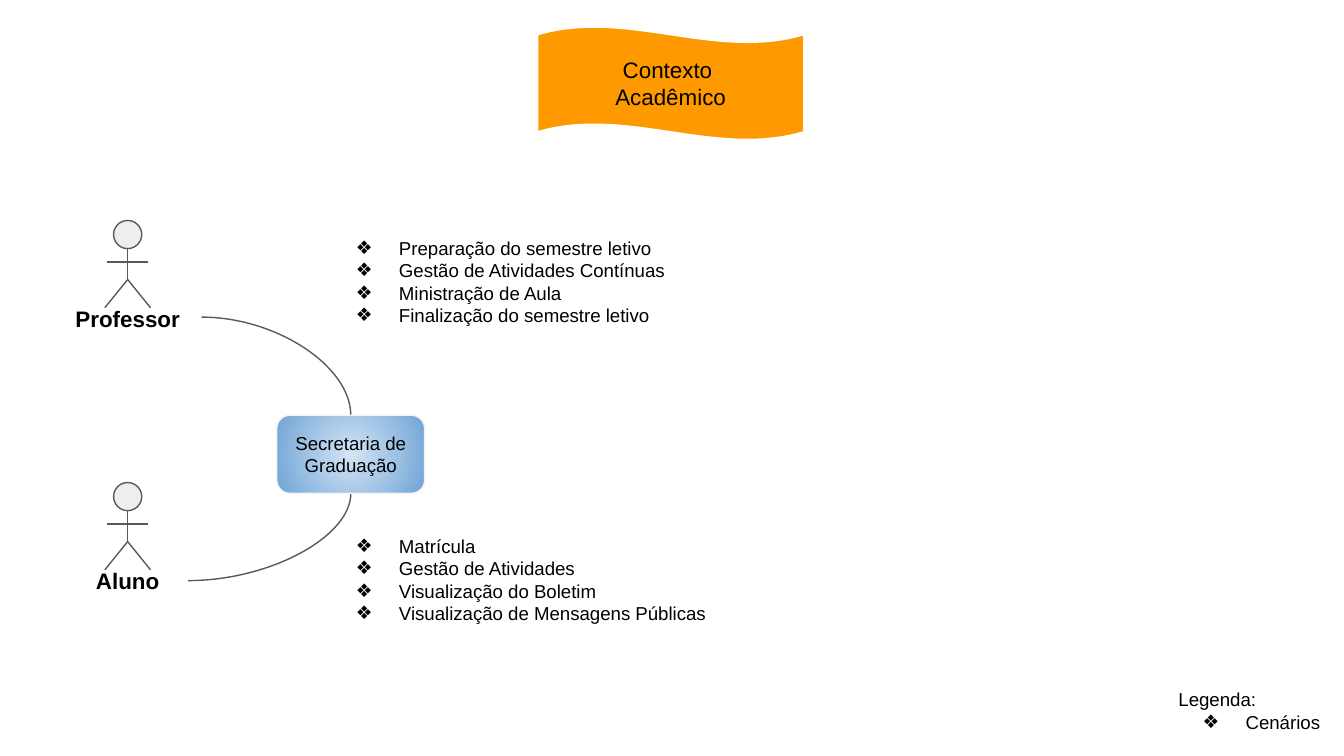
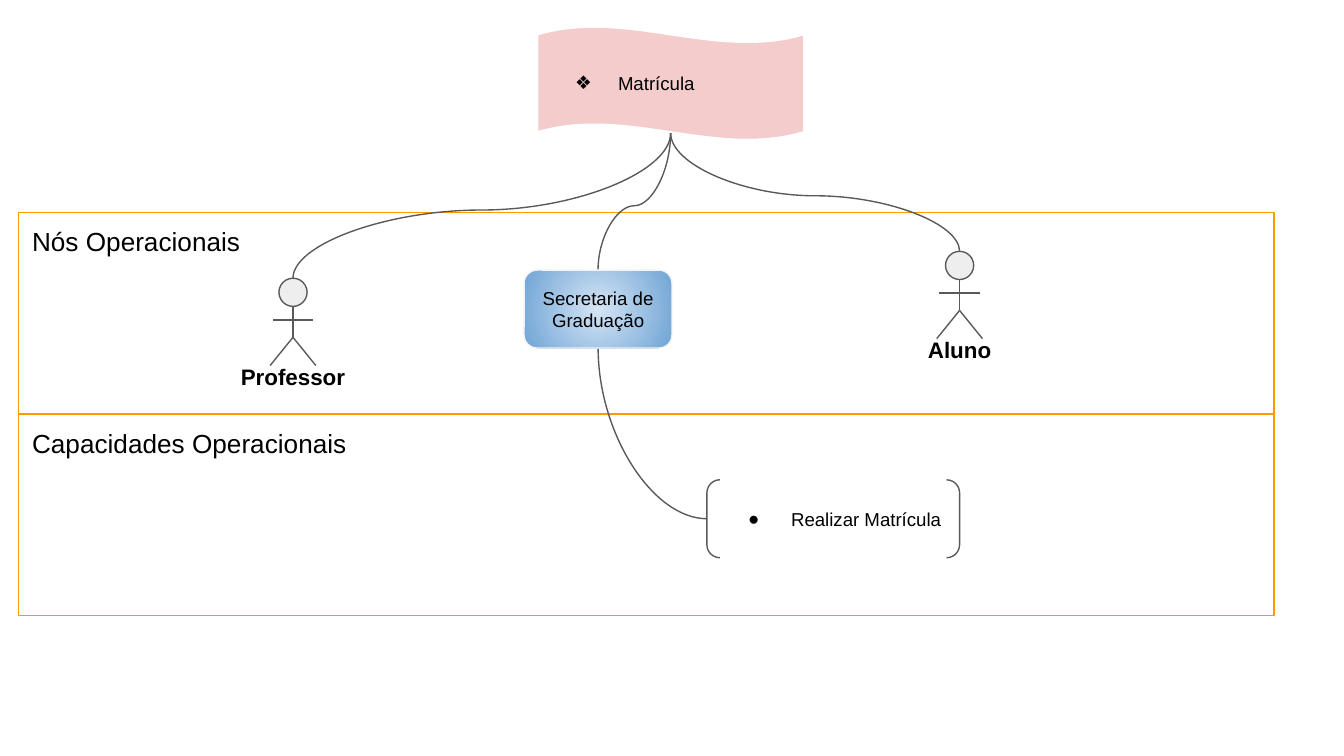
"""Build two slides linking academic actors, scenarios and capabilities."""
from dataclasses import dataclass

from lxml.etree import SubElement
from pptx import Presentation
from pptx.dml.color import RGBColor as Color
from pptx.enum.shapes import MSO_CONNECTOR as Connector, MSO_SHAPE as Preset
from pptx.enum.text import MSO_ANCHOR as Anchor, PP_ALIGN as Align
from pptx.oxml.ns import qn
from pptx.util import Inches, Pt


@dataclass(frozen=True)
class Theme:
    font: str = "Arial"
    text: str = "000000"
    stroke: str = "595959"
    head: str = "EEEEEE"
    orange: str = "FF9900"
    pink: str = "F4CCCC"
    banner_edge: str = "FFFFFF"
    node_edge: str = "F3F3F3"
    node_center: str = "D4E5F5"
    node_rim: str = "70A4D5"
    line_width: float = 0.75
    body: int = 10
    label: int = 12
    heading: int = 14


theme = Theme()


def write(shape, lines, size=theme.body, align=Align.LEFT, anchor=Anchor.TOP,
          bold=False, bullet="", plain=0):
    frame = shape.text_frame
    frame.text = "\n".join(lines)
    frame.word_wrap = True
    frame.vertical_anchor = anchor
    frame.margin_left = frame.margin_right = Inches(0.1)
    frame.margin_top = frame.margin_bottom = Inches(0.1)
    for index, paragraph in enumerate(frame.paragraphs):
        paragraph.alignment = align
        for run in paragraph.runs:
            run.font.name = theme.font
            run.font.size = Pt(size)
            run.font.bold = bold
            run.font.color.rgb = Color.from_string(theme.text)
        if bullet and index >= plain:
            properties = paragraph._p.get_or_add_pPr()
            properties.set("marL", str(Inches(0.5)))
            properties.set("indent", str(Inches(-0.32)))
            bullet_color = SubElement(properties, qn("a:buClr"))
            SubElement(bullet_color, qn("a:srgbClr"), val=theme.text)
            SubElement(properties, qn("a:buFont"), typeface=theme.font)
            SubElement(properties, qn("a:buChar"), char=bullet)


def draw_line(shapes, start, end, rotation=None, flip=False, bend=None):
    kind = Connector.STRAIGHT if rotation is None else Connector.CURVE
    if rotation is not None:
        width, height = abs(end[0] - start[0]), abs(end[1] - start[1])
        if rotation in (90, 270):
            width, height = height, width
        center_x, center_y = (start[0] + end[0]) / 2, (start[1] + end[1]) / 2
        start = center_x - width / 2, center_y - height / 2
        end = center_x + width / 2, center_y + height / 2
    line = shapes.add_connector(kind, *(Inches(value) for value in (*start, *end)))
    line.line.color.rgb = Color.from_string(theme.stroke)
    line.line.width = Pt(theme.line_width)
    properties = line.element.spPr
    SubElement(properties, qn("a:effectLst"))
    if rotation is not None:
        transform = properties.find(qn("a:xfrm"))
        transform.set("rot", str(rotation * 60000))
        transform.set("flipH", str(int(flip)))
        geometry = properties.find(qn("a:prstGeom"))
        geometry.set("prst", "curvedConnector3" if bend else "curvedConnector2")
        if bend:
            guides = geometry.find(qn("a:avLst"))
            SubElement(guides, qn("a:gd"), name="adj1", fmla=f"val {round(bend * 100000)}")


presentation = Presentation()
presentation.slide_width = Inches(10)
presentation.slide_height = Inches(10 * 9 / 16)
context, enrollment = (
    presentation.slides.add_slide(presentation.slide_layouts[6]) for _ in range(2)
)

for row, heading in enumerate(("Nós Operacionais", "Capacidades Operacionais")):
    band = enrollment.shapes.add_shape(
        Preset.RECTANGLE, Inches(0.14), Inches(1.58 + row * 1.5), Inches(9.34), Inches(1.5))
    band.shadow.inherit = False
    band.fill.background()
    band.line.color.rgb = Color.from_string(theme.orange)
    band.line.width = Pt(theme.line_width)
    write(band, [heading], theme.heading)

banners = [
    (context, theme.orange, ["Contexto ", "Acadêmico"],
     {"size": theme.label, "align": Align.CENTER}),
    (enrollment, theme.pink, ["Matrícula"], {"bullet": "❖"}),
]
for slide, color, lines, style in banners:
    banner = slide.shapes.add_shape(
        Preset.WAVE, Inches(4), Inches(0.2), Inches(1.98), Inches(0.84))
    banner.shadow.inherit = False
    banner.adjustments[0] = 0.07
    banner.adjustments[1] = 0
    banner.fill.solid()
    banner.fill.fore_color.rgb = Color.from_string(color)
    banner.line.color.rgb = Color.from_string(theme.banner_edge)
    banner.line.width = Pt(theme.line_width)
    write(banner, lines, anchor=Anchor.MIDDLE, **style)

limbs = [
    ((0, 0.21), (0, 0.44)),
    ((-0.15, 0.31), (0.15, 0.31)),
    ((0, 0.44), (-0.17, 0.65)),
    ((0.17, 0.65), (0, 0.44)),
]
actors = [
    (context, "Aluno", 0.95, 3.59, 0.9),
    (context, "Professor", 0.95, 1.64, 1.12),
    (enrollment, "Professor", 2.18, 2.07, 1.12),
    (enrollment, "Aluno", 7.14, 1.87, 0.9),
]
for slide, name, center, top, label_width in actors:
    actor = slide.shapes.add_group_shape()
    head = actor.shapes.add_shape(
        Preset.FLOWCHART_CONNECTOR, Inches(center - 0.21 / 2), Inches(top),
        Inches(0.21), Inches(0.21))
    head.shadow.inherit = False
    head.fill.solid()
    head.fill.fore_color.rgb = Color.from_string(theme.head)
    head.line.color.rgb = Color.from_string(theme.stroke)
    head.line.width = Pt(theme.line_width)
    for (x1, y1), (x2, y2) in limbs:
        draw_line(actor.shapes, (center + x1, top + y1), (center + x2, top + y2))
    label = actor.shapes.add_textbox(
        Inches(center - label_width / 2), Inches(top + 0.53),
        Inches(label_width), Inches(0.38))
    write(label, [name], theme.label, Align.CENTER, bold=True)

banner_foot = (4.99, 0.99)
curves = [
    (context, (1.5, 2.36), (2.61, 3.09), 0, False, None),
    (context, (1.4, 4.32), (2.61, 3.67), 180, True, None),
    (enrollment, (4.45, 2.01), banner_foot, 270, False, 0.47),
    (enrollment, (2.18, 2.07), banner_foot, 270, False, 0.47),
    (enrollment, (7.14, 1.87), banner_foot, 90, True, 0.47),
    (enrollment, (4.45, 2.59), (5.26, 3.86), 270, True, None),
]
for slide, *route in curves:
    draw_line(slide.shapes, *route)

for slide, left, top in ((context, 2.06, 3.09), (enrollment, 3.9, 2.01)):
    office = slide.shapes.add_shape(
        Preset.ROUNDED_RECTANGLE, Inches(left), Inches(top), Inches(1.1), Inches(0.58))
    office.shadow.inherit = False
    office.fill.gradient()
    for position, (stop, color) in enumerate(
            zip(office.fill.gradient_stops, (theme.node_center, theme.node_rim))):
        stop.position = position
        stop.color.rgb = Color.from_string(color)
    gradient = office.element.spPr.find(qn("a:gradFill"))
    gradient.remove(gradient.find(qn("a:lin")))
    radial = SubElement(gradient, qn("a:path"), path="circle")
    SubElement(radial, qn("a:fillToRect"), {side: "50000" for side in "ltrb"})
    office.line.color.rgb = Color.from_string(theme.node_edge)
    office.line.width = Pt(theme.line_width)
    write(office, ["Secretaria de Graduação"], align=Align.CENTER, anchor=Anchor.MIDDLE)

scenario_lists = [
    ((2.37, 1.66, 3.32, 1.01), 0,
     ["Preparação do semestre letivo", "Gestão de Atividades Contínuas",
      "Ministração de Aula", "Finalização do semestre letivo"]),
    ((2.37, 3.88, 3.32, 0.91), 0,
     ["Matrícula", "Gestão de Atividades", "Visualização do Boletim",
      "Visualização de Mensagens Públicas"]),
    ((8.67, 5.02, 1.27, 0.52), 1, ["Legenda:", "Cenários"]),
]
for box, plain, lines in scenario_lists:
    scenarios = context.shapes.add_textbox(*(Inches(value) for value in box))
    write(scenarios, lines, bullet="❖", plain=plain)

capability = enrollment.shapes.add_shape(
    Preset.DOUBLE_BRACKET, Inches(5.26), Inches(3.57), Inches(1.88), Inches(0.58))
capability.shadow.inherit = False
capability.fill.background()
capability.line.color.rgb = Color.from_string(theme.stroke)
capability.line.width = Pt(theme.line_width)
write(capability, ["Realizar Matrícula"], anchor=Anchor.MIDDLE, bullet="●")

presentation.save("out.pptx")
